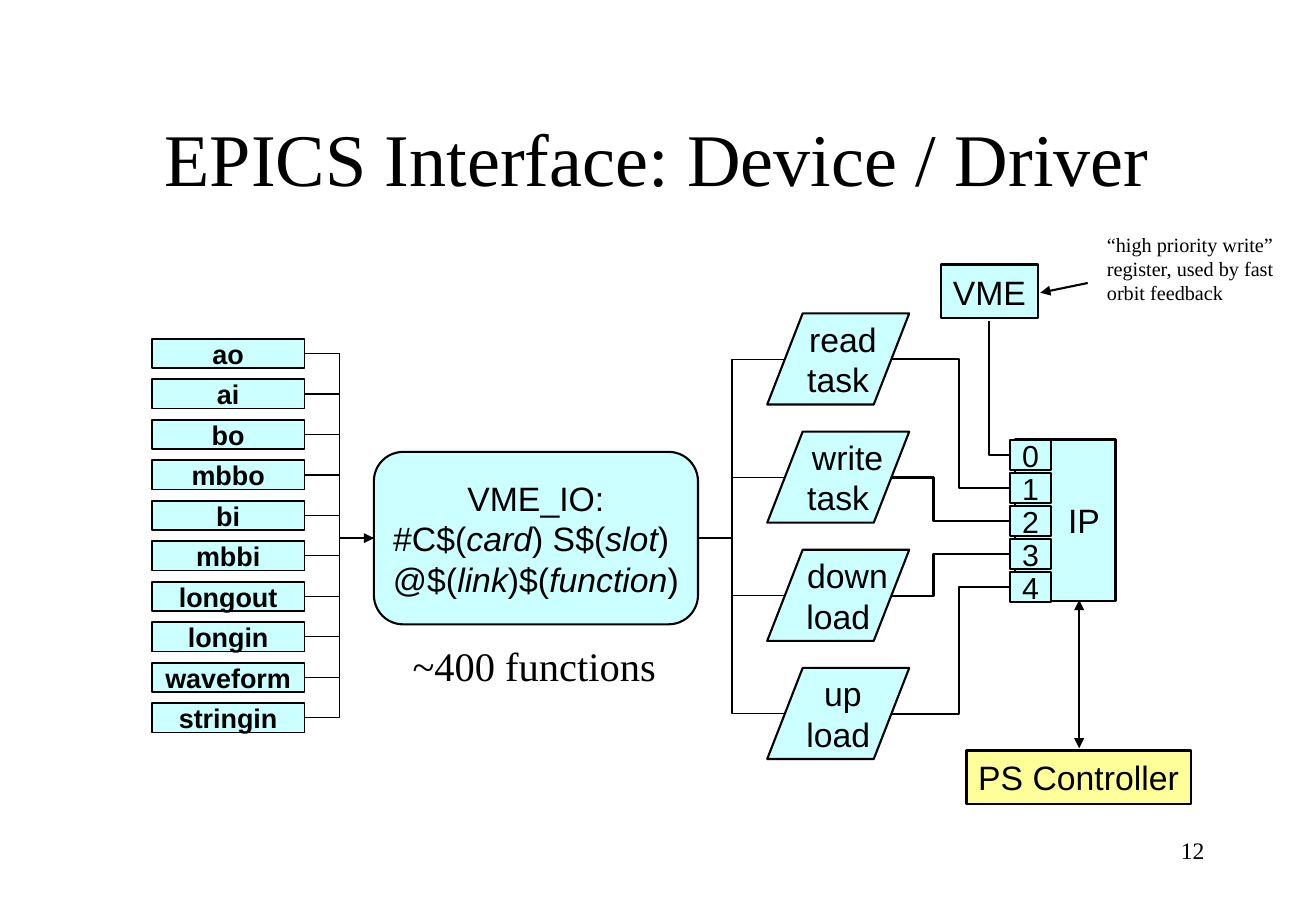
import pptx
import pptx.util
import pptx.dml.color
import pptx.enum.shapes
import pptx.enum.text
import pptx.oxml
import pptx.oxml.ns

SHAPE = pptx.enum.shapes.MSO_SHAPE
LINK = pptx.enum.shapes.MSO_CONNECTOR
ALIGN = pptx.enum.text.PP_ALIGN
ANCHOR = pptx.enum.text.MSO_ANCHOR

COLORS = {"ink": "000000", "box": "CCFFFF", "controller": "FFFF99", "paper": "FFFFFF"}
SERIF, SANS = "Times New Roman", "Arial"
COLS, ROWS = 108.4, 75  # square grid, ten cells to the inch
SPACE = 5.56  # width in points of one blank at 20 pt


def cells(n):
    return pptx.util.Inches(n / 10)


def rgb(name):
    return pptx.dml.color.RGBColor.from_string(COLORS[name])


class Sketch:
    """Holds the slide and its style; all places are (column, row) on the grid."""

    font = {"name": SANS, "size": pptx.util.Pt(20), "bold": False}

    def __init__(self, slide):
        self.slide = slide

    def set_text(self, sp, lines, align=ALIGN.CENTER, anchor=ANCHOR.MIDDLE,
                 wrap=False, indents=(), **font):
        """Fill sp with lines; text between asterisks is italic."""
        tf = sp.text_frame
        frame = {"word_wrap": wrap, "vertical_anchor": anchor,
                 "auto_size": pptx.enum.text.MSO_AUTO_SIZE.NONE}
        for key, value in frame.items():
            setattr(tf, key, value)
        for i, line in enumerate(lines):
            p = tf.add_paragraph() if i else tf.paragraphs[0]
            p.alignment = align
            if i < len(indents):
                p._p.get_or_add_pPr().set("marL", str(pptx.util.Pt(indents[i])))
            for j, text in enumerate(line.split("*")):
                r = p.add_run()
                r.text = text
                for key, value in {**self.font, **font, "italic": j % 2 == 1}.items():
                    setattr(r.font, key, value)
                r.font.color.rgb = rgb("ink")

    def title(self, text, x, y, w, h):
        sp = self.slide.shapes.title
        place = {"left": x, "top": y, "width": w, "height": h}
        for key, value in place.items():
            setattr(sp, key, cells(value))
        self.set_text(sp, [text], wrap=True, name=SERIF, size=pptx.util.Pt(44))

    def note(self, lines, x, y, w, h, size, align=ALIGN.LEFT, wrap=True):
        sp = self.slide.shapes.add_textbox(*map(cells, (x, y, w, h)))
        self.set_text(sp, lines, align, ANCHOR.TOP, wrap, name=SERIF,
                      size=pptx.util.Pt(size))

    def box(self, lines, x, y, w, h, kind=SHAPE.RECTANGLE, fill="box", line=1.25,
            adj=None, **text):
        sp = self.slide.shapes.add_shape(kind, *map(cells, (x, y, w, h)))
        sp.shadow.inherit = False
        sp.fill.solid()
        sp.fill.fore_color.rgb = rgb(fill)
        sp.line.color.rgb = rgb("ink")
        sp.line.width = pptx.util.Pt(line)
        if adj is not None:
            sp.adjustments[0] = adj
        self.set_text(sp, lines, **text)

    def link(self, start, end, bend=None, corner=False, width=1.25, arrows=()):
        """Straight line, an elbow turning at column bend, or a single corner."""
        kind = LINK.ELBOW if corner or bend is not None else LINK.STRAIGHT
        sp = self.slide.shapes.add_connector(kind, *map(cells, start + end))
        sp.line.color.rgb = rgb("ink")
        sp.line.width = pptx.util.Pt(width)
        spPr = sp._element.spPr
        geom = spPr.find(pptx.oxml.ns.qn("a:prstGeom"))
        if corner:
            geom.set("prst", "bentConnector2")
        elif bend is not None:
            share = round((bend - start[0]) / (end[0] - start[0]) * 100000)
            guides = geom.get_or_add_avLst()
            guide = guides.makeelement(pptx.oxml.ns.qn("a:gd"),
                                       {"name": "adj1", "fmla": f"val {share}"})
            guides.append(guide)
        ln = spPr.find(pptx.oxml.ns.qn("a:ln"))
        for tag in arrows:
            ln.append(ln.makeelement(pptx.oxml.ns.qn(f"a:{tag}"), {"type": "triangle"}))
        spPr.append(spPr.makeelement(pptx.oxml.ns.qn("a:effectLst"), {}))


def main():
    prs = pptx.Presentation()
    prs.slide_width, prs.slide_height = cells(COLS), cells(ROWS)
    slide = prs.slides.add_slide(prs.slide_layouts[5])
    slide.background.fill.solid()
    slide.background.fill.fore_color.rgb = rgb("paper")
    s = Sketch(slide)
    s.title("EPICS Interface: Device / Driver", 8.1, 6.7, 92.1, 12.5)

    # Record types, all joined to the device support box
    records = ["ao", "ai", "bo", "mbbo", "bi", "mbbi",
               "longout", "longin", "waveform", "stringin"]
    hub_row = 44.3
    for i, record in enumerate(records):
        y = 27.9 + i * 10 / 3
        s.box([record], 12.5, y, 12.6, 2.4, line=1, wrap=True,
              size=pptx.util.Pt(16), bold=True)
        s.link((25.1, y + 1.2), (30.8, hub_row), bend=28, width=0.75,
               arrows=() if i else ("tailEnd",))

    # IP module with its numbered registers
    s.box(["IP"], 83.6, 36.2, 8.3, 13.3, line=1.5, indents=[4 * SPACE])
    registers = [36.2 + 2.72 * i for i in range(5)]
    for i, y in enumerate(registers):
        s.box([str(i)], 83.2, y, 3.4, 2.5, size=pptx.util.Pt(18))

    # Driver tasks: words, indent in blanks, column of the turn to the register
    tasks = [(["read", "task"], 1, 79), (["write", "task"], 2, 76.9),
             (["down", "load"], 2, 76.9), (["up", "load"], 1, 79)]
    for i, (words, blanks, bend) in enumerate(tasks):
        y = 25.8 + 9.73 * i
        middle = y + 3.78
        s.box(words, 63.2, y, 11.7, 7.5, SHAPE.PARALLELOGRAM, adj=0.39,
              indents=[blanks * SPACE])
        s.link((57.6, hub_row), (64.6, middle), bend=60.3, width=0.75)
        s.link((73.5, middle), (83.1, registers[i + 1] + 1.25), bend=bend)

    # Device support
    s.box(["VME_IO:", "#C$(*card*) S$(*slot*) ", "@$(*link*)$(*function*)"],
          30.8, 37.2, 26.7, 14.2, SHAPE.ROUNDED_RECTANGLE, adj=0.17)
    s.note(["~400 functions"], 33, 52.3, 22, 5, 24, wrap=False)

    # VME bus and power supply controller
    s.box(["VME"], 77.5, 21.8, 8, 4.4, line=1.5)
    s.link((83.1, registers[0] + 1.25), (81.5, 26.4), corner=True)
    s.box(["PS Controller"], 79.6, 61.8, 18.5, 4.4, fill="controller", line=1.5)
    s.link((88.9, 49.4), (88.9, 61.6), arrows=("headEnd", "tailEnd"))

    # Remark and page number
    s.link((89.6, 23.3), (85.7, 24.1), arrows=("tailEnd",))
    s.note(["“high priority write”", "register, used by fast orbit feedback"],
           90.2, 18.6, 16, 7, 12)
    s.note(["12"], 92.5, 68.3, 7.7, 5, 14, align=ALIGN.RIGHT)

    prs.save("out.pptx")


if __name__ == "__main__":
    main()
